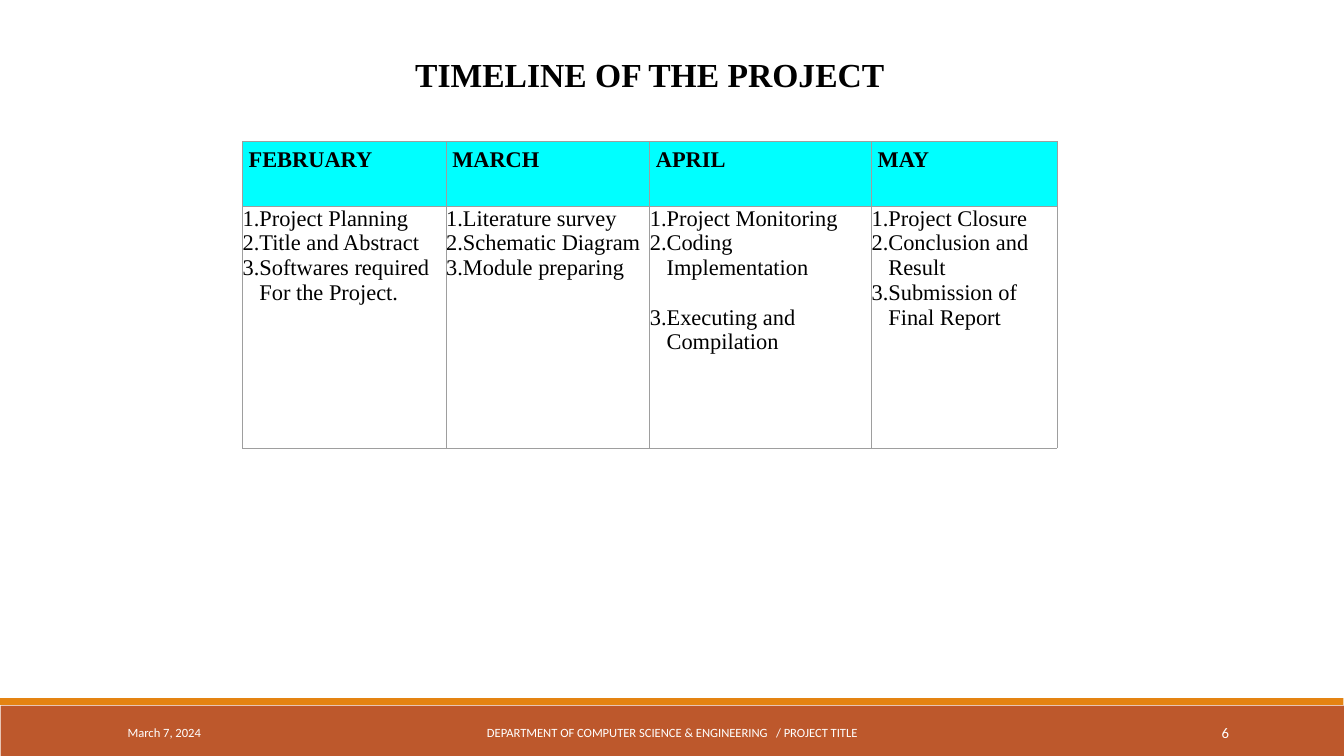
from dataclasses import dataclass

from lxml import etree
from pptx import Presentation, util as u
from pptx.dml.color import RGBColor
from pptx.enum import shapes, text
from pptx.oxml.ns import qn

WHITE = RGBColor(0xFF, 0xFF, 0xFF)
BLACK = RGBColor(0, 0, 0)
CYAN = RGBColor(0, 0xFF, 0xFF)
GRAY = RGBColor(0x9E, 0x9E, 0x9E)
RUST = RGBColor(0xBD, 0x58, 0x2C)
ORANGE = RGBColor(0xE4, 0x83, 0x12)

# Lengths in inches
SLIDE_W, SLIDE_H = 20, 11.25
TABLE_LEFT, TABLE_TOP = 3.61, 2.11
ROW_HEIGHTS = (0.96, 3.6)
FOOTER_TOP, FOOTER_H = 10.6, 0.6
HEADING_INDENT, CONTINUATION_INDENT = 0.09, 0.25
LINE_PITCH = u.Pt(26.5)

SERIF = dict(name="Times New Roman", size=u.Pt(24), bold=False)
SERIF_BOLD = SERIF | dict(bold=True)
TITLE = SERIF_BOLD | dict(size=u.Pt(36))
FOOTER = dict(name="Calibri", size=u.Pt(13.5))
PAGE_NUMBER = FOOTER | dict(size=u.Pt(15.8))


@dataclass(frozen=True)
class Task:
    lines: tuple[str, ...]
    gap_before: int = 0


@dataclass(frozen=True)
class Month:
    name: str
    width: float
    tasks: tuple[Task, ...]


@dataclass(frozen=True)
class Label:
    words: str
    left: float
    top: float
    width: float
    height: float
    style: dict
    color: RGBColor = WHITE
    align: text.PP_ALIGN = text.PP_ALIGN.LEFT
    anchor: text.MSO_ANCHOR = text.MSO_ANCHOR.MIDDLE
    wrap: bool = True


MONTHS = (
    Month("FEBRUARY", 3.03, (
        Task(("Project Planning",)),
        Task(("Title and Abstract",)),
        Task(("Softwares required", "For the Project.")))),
    Month("MARCH", 3.03, (
        Task(("Literature survey",)),
        Task(("Schematic Diagram",)),
        Task(("Module preparing",)))),
    Month("APRIL", 3.3, (
        Task(("Project Monitoring",)),
        Task(("Coding", "Implementation")),
        Task(("Executing and", "Compilation"), gap_before=LINE_PITCH))),
    Month("MAY", 2.76, (
        Task(("Project Closure",)),
        Task(("Conclusion and", "Result")),
        Task(("Submission of", "Final Report")))),
)

LABELS = (
    Label("March 7, 2024", 1.8, FOOTER_TOP, 4.06, FOOTER_H, FOOTER),
    Label("DEPARTMENT OF COMPUTER SCIENCE & ENGINEERING   / PROJECT TITLE",
          6.05, FOOTER_TOP, 7.91, FOOTER_H, FOOTER, align=text.PP_ALIGN.CENTER),
    Label("6", 16.24, FOOTER_TOP, 2.15, FOOTER_H, PAGE_NUMBER,
          align=text.PP_ALIGN.RIGHT),
    Label("TIMELINE OF THE PROJECT", 6.08, 0.76, 7.26, 0.71, TITLE, BLACK,
          anchor=text.MSO_ANCHOR.TOP, wrap=False),
)


def write(paragraph, words: str, style: dict, color: RGBColor, indent: float = 0) -> None:
    run = paragraph.add_run()
    run.text = words
    for key, value in style.items():
        setattr(run.font, key, value)
    run.font.color.rgb = color
    if indent:
        paragraph._p.get_or_add_pPr().set("marL", str(u.Inches(indent)))


def draw_band(slide, left: float, top: float, height: float, color: RGBColor) -> None:
    band = slide.shapes.add_shape(
        shapes.MSO_SHAPE.RECTANGLE, u.Inches(left), u.Inches(top),
        u.Inches(SLIDE_W - 0.01), u.Inches(height))
    band.shadow.inherit = False
    band.fill.solid()
    band.fill.fore_color.rgb = color
    band.line.fill.background()


def draw_label(slide, label: Label) -> None:
    box = slide.shapes.add_textbox(
        *map(u.Inches, (label.left, label.top, label.width, label.height)))
    frame = box.text_frame
    frame.word_wrap = label.wrap
    frame.vertical_anchor = label.anchor
    paragraph = frame.paragraphs[0]
    paragraph.alignment = label.align
    write(paragraph, label.words, label.style, label.color)


def prepare_cell(cell, margin_top: float = 0) -> None:
    margins = dict(margin_left=0, margin_right=0, margin_bottom=0,
                   margin_top=u.Inches(margin_top))
    for key, value in margins.items():
        setattr(cell, key, value)
    properties = cell._tc.get_or_add_tcPr()
    for position, side in enumerate(("lnL", "lnR", "lnT", "lnB")):
        border = etree.Element(qn(f"a:{side}"), w=str(u.Pt(0.75)))
        fill = etree.SubElement(border, qn("a:solidFill"))
        etree.SubElement(fill, qn("a:srgbClr"), val=str(GRAY))
        properties.insert(position, border)


def fill_heading(cell, month: Month) -> None:
    prepare_cell(cell, margin_top=0.08)
    cell.fill.solid()
    cell.fill.fore_color.rgb = CYAN
    write(cell.text_frame.paragraphs[0], month.name, SERIF_BOLD, BLACK, HEADING_INDENT)


def fill_tasks(cell, month: Month) -> None:
    prepare_cell(cell)
    cell.fill.background()
    frame = cell.text_frame
    for number, task in enumerate(month.tasks, 1):
        for row, line in enumerate(task.lines):
            first = number == 1 and row == 0
            paragraph = frame.paragraphs[0] if first else frame.add_paragraph()
            paragraph.line_spacing = LINE_PITCH
            if row == 0:
                paragraph.space_before = task.gap_before
                write(paragraph, f"{number}.{line}", SERIF, BLACK)
            else:
                write(paragraph, line, SERIF, BLACK, CONTINUATION_INDENT)


def draw_timeline(slide) -> None:
    table = slide.shapes.add_table(
        len(ROW_HEIGHTS), len(MONTHS), u.Inches(TABLE_LEFT), u.Inches(TABLE_TOP),
        u.Inches(sum(month.width for month in MONTHS)),
        u.Inches(sum(ROW_HEIGHTS))).table
    table.first_row = table.horz_banding = False
    for row, height in zip(table.rows, ROW_HEIGHTS):
        row.height = u.Inches(height)
    for column, month in enumerate(MONTHS):
        table.columns[column].width = u.Inches(month.width)
        fill_heading(table.cell(0, column), month)
        fill_tasks(table.cell(1, column), month)


def main() -> None:
    deck = Presentation()
    deck.slide_width, deck.slide_height = u.Inches(SLIDE_W), u.Inches(SLIDE_H)
    slide = deck.slides.add_slide(deck.slide_layouts[6])

    # Footer bands
    draw_band(slide, 0.01, 10.5, 0.75, RUST)
    draw_band(slide, 0, 10.39, 0.1, ORANGE)

    # Footer texts and title
    for label in LABELS:
        draw_label(slide, label)

    # Month table
    draw_timeline(slide)
    deck.save("out.pptx")


if __name__ == "__main__":
    main()
